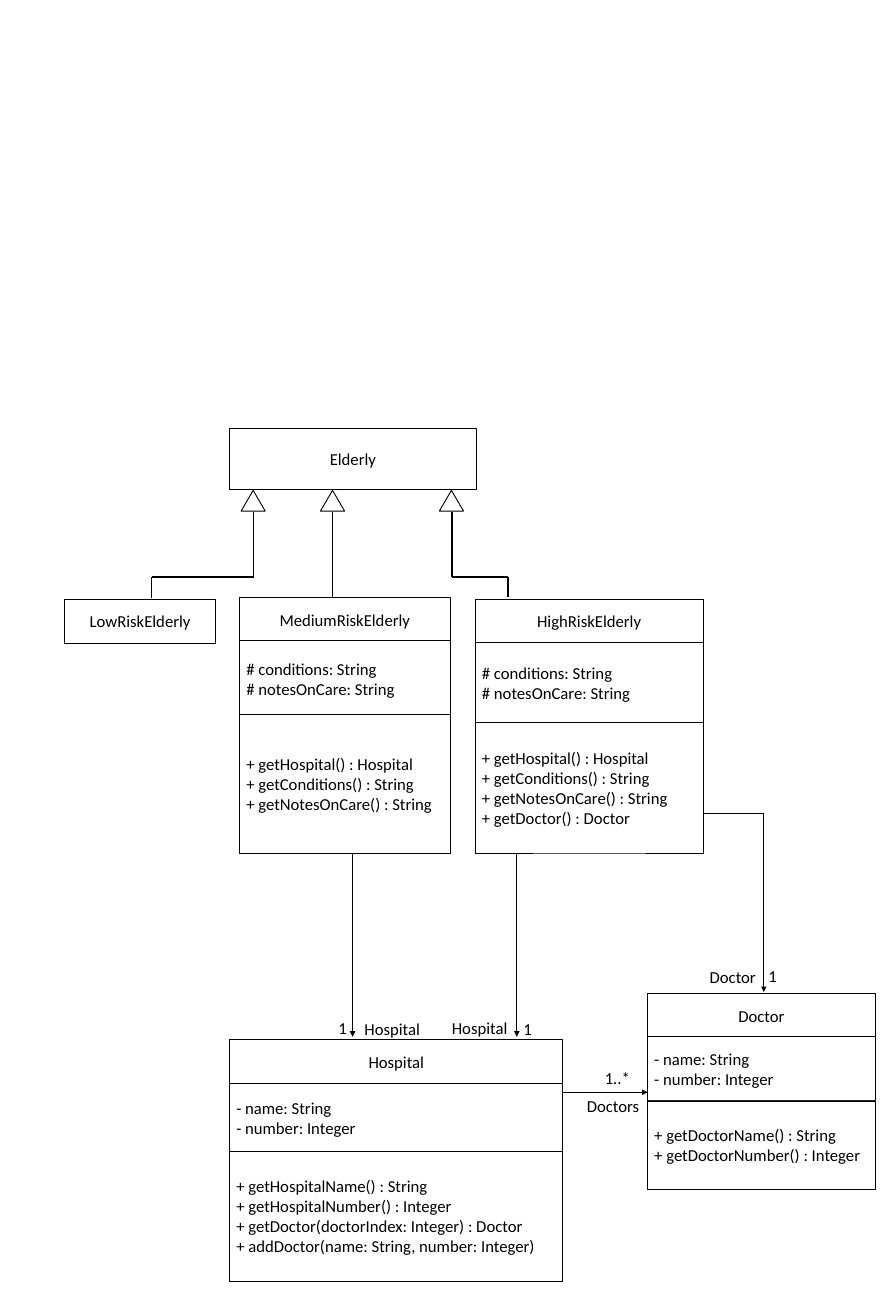
from pptx import Presentation
from pptx.dml.color import RGBColor
from pptx.enum.shapes import MSO_CONNECTOR as Connector, MSO_SHAPE as Preset
from pptx.enum.text import MSO_ANCHOR as Anchor, PP_ALIGN as Align
from pptx.oxml.ns import qn
from pptx.util import Pt
from lxml.etree import SubElement

BLACK, WHITE = "000000", "FFFFFF"
color = RGBColor.from_string

deck = Presentation()
deck.slide_width, deck.slide_height = Pt(959.75), Pt(1418.38)
page = deck.slides.add_slide(deck.slide_layouts[6])


def style_outline(shape):
    shape.shadow.inherit = False
    shape.fill.solid()
    shape.fill.fore_color.rgb = color(WHITE)
    shape.line.color.rgb = color(BLACK)
    shape.line.width = Pt(1)


def write_lines(frame, lines, align):
    frame.word_wrap = True
    for number, line in enumerate(lines):
        para = frame.add_paragraph() if number else frame.paragraphs[0]
        para.alignment = align
        span = para.add_run()
        span.text = line
        span.font.name, span.font.size = "Calibri", Pt(18)
        span.font.color.rgb = color(BLACK)


# Classes: left, width, then compartments of top, height and lines
attributes = ["# conditions: String", "# notesOnCare: String"]
record = ["- name: String", "- number: Integer"]
getters = ["+ getHospital() : Hospital", "+ getConditions() : String",
           "+ getNotesOnCare() : String"]
classes = [
    (247.7, 265.7, [(461.5, 66.2, ["Elderly"])]),
    (69.8, 162.7, [(645.8, 47.5, ["LowRiskElderly"])]),
    (258.5, 226.8, [(643.7, 49, ["MediumRiskElderly"]),
                    (689.8, 84.2, attributes),
                    (769.7, 150.5, getters)]),
    (512.6, 245.5, [(645.8, 47.5, ["HighRiskElderly"]),
                    (692.6, 87.1, attributes),
                    (779, 140.4, getters + ["+ getDoctor() : Doctor"])]),
    (247.7, 359.3, [(1120.3, 47.5, ["Hospital"]),
                    (1167.8, 73.4, record),
                    (1240.6, 140.4, [
                        "+ getHospitalName() : String",
                        "+ getHospitalNumber() : Integer",
                        "+ getDoctor(doctorIndex: Integer) : Doctor",
                        "+ addDoctor(name: String, number: Integer)"])]),
    (698.4, 245.5, [(1070.6, 47.5, ["Doctor"]),
                    (1117.4, 69.1, record),
                    (1186.6, 95, ["+ getDoctorName() : String",
                                  "+ getDoctorNumber() : Integer"])]),
]
for left, width, compartments in classes:
    for top, height, lines in compartments:
        box = page.shapes.add_shape(
            Preset.RECTANGLE, Pt(left), Pt(top), Pt(width), Pt(height))
        style_outline(box)
        box.text_frame.vertical_anchor = Anchor.MIDDLE
        write_lines(box.text_frame, lines,
                    Align.CENTER if len(lines) == 1 else Align.LEFT)

# Inheritance triangles under Elderly
for left in (260, 345.6, 473.8):
    triangle = page.shapes.add_shape(
        Preset.ISOSCELES_TRIANGLE, Pt(left), Pt(528.5), Pt(26), Pt(22.3))
    style_outline(triangle)

# Links: start x, start y, end x, end y, width, arrowhead at the end
links = [
    (358.6, 551.5, 358.6, 644, 1.5, False),
    (273.6, 551.5, 273.6, 622, 1.5, False),
    (273.6, 622, 163.4, 622, 1.5, False),
    (163.4, 622, 163.4, 644.4, 1.5, False),
    (487.4, 551.5, 487.4, 622, 1.5, False),
    (547.9, 622, 487.4, 622, 1.5, False),
    (547.9, 621.4, 547.9, 643.7, 1.5, False),
    (380.2, 919.4, 380.2, 1117.4, 1, True),
    (557.3, 919.4, 557.3, 1117.4, 1, True),
    (607, 1177.2, 698.4, 1177.2, 1, True),
    (823.7, 876.2, 758.2, 876.2, 0.5, False),
    (823.7, 876.2, 823.7, 1069.2, 1, True),
]
for x1, y1, x2, y2, width, arrow in links:
    link = page.shapes.add_connector(
        Connector.STRAIGHT, Pt(x1), Pt(y1), Pt(x2), Pt(y2))
    link.line.color.rgb = color(BLACK)
    link.line.width = Pt(width)
    properties = link._element.spPr
    if arrow:
        SubElement(properties.find(qn("a:ln")), qn("a:tailEnd"), type="triangle")
    SubElement(properties, qn("a:effectLst"))

# Role names and multiplicities: left, top, width, text
labels = [
    (357.8, 1093.7, 26, "1"),
    (557.3, 1094.4, 26, "1"),
    (821.5, 1037.5, 26, "1"),
    (645.1, 1147.7, 44, "1..*"),
    (385.9, 1094.4, 103.7, "Hospital"),
    (480.2, 1093, 103.7, "Hospital"),
    (758.2, 1038.2, 103.7, "Doctor"),
    (625.7, 1177.2, 103.7, "Doctors"),
]
for left, top, width, text in labels:
    label = page.shapes.add_textbox(Pt(left), Pt(top), Pt(width), Pt(28.8))
    write_lines(label.text_frame, [text], Align.LEFT)

deck.save("out.pptx")
